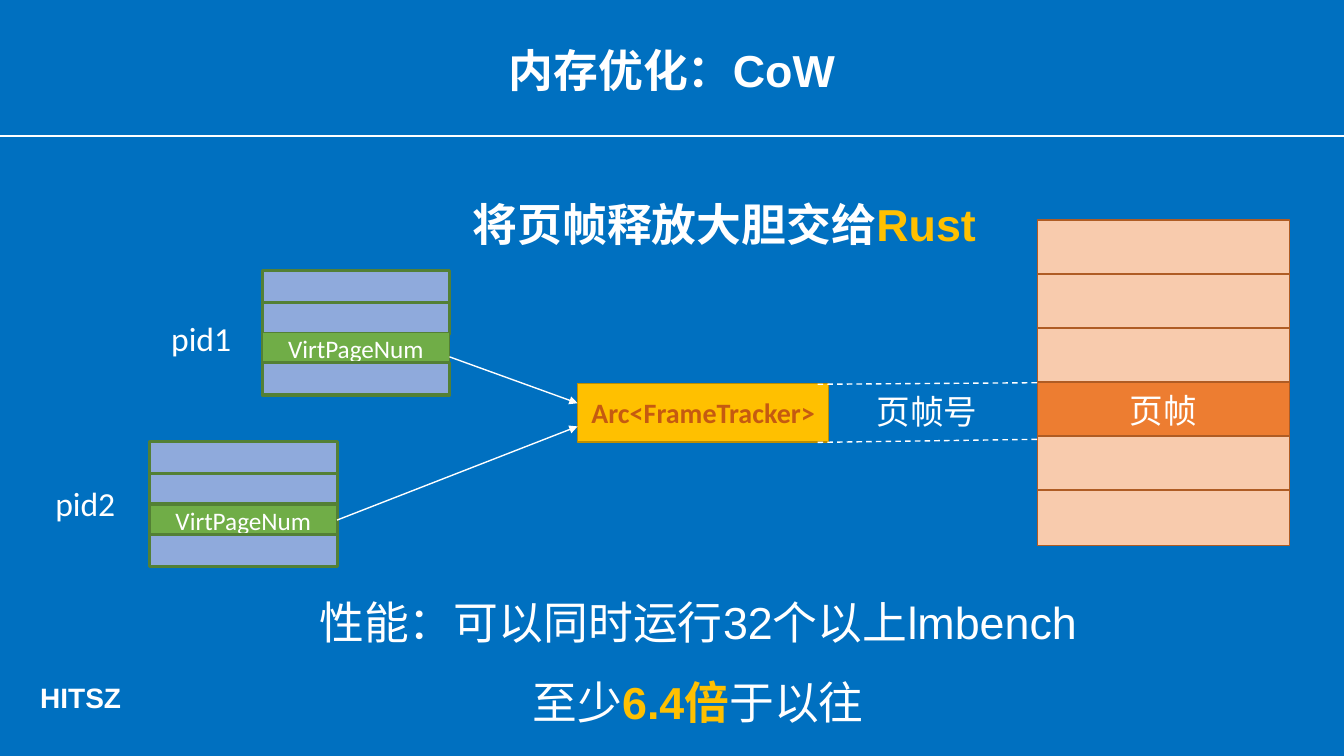
from lxml.etree import SubElement
from pptx import Presentation
from pptx.dml.color import RGBColor
from pptx.enum.dml import MSO_LINE
from pptx.enum.shapes import MSO_CONNECTOR, MSO_SHAPE
from pptx.enum.text import MSO_ANCHOR, MSO_AUTO_SIZE, PP_ALIGN
from pptx.oxml.ns import qn
from pptx.util import Pt

COLORS = {
    "background": "0070C0", "white": "FFFFFF", "gold": "FFC000",
    "gold_line": "BD8E00", "brown": "C55A11", "page": "8FAADC",
    "mapped": "70AD47", "page_line": "538035", "frame": "F8CBAD",
    "shared": "ED7D31", "frame_line": "AF5C24",
}
PAGE_OFFSETS = (0, 23, 44.6, 66.2)
FRAME_PITCH = 38.6


def rgb(name):
    return RGBColor.from_string(COLORS[name])


def set_font(font, size, color="white", bold=False, name="Calibri"):
    font.name, font.size, font.bold = name, Pt(size), bold
    font.color.rgb = rgb(color)


def add_rect(slide, box, fill, line, width=1, text="", size=18,
             color="white", bold=False):
    sp = slide.shapes.add_shape(MSO_SHAPE.RECTANGLE, *map(Pt, box))
    sp.shadow.inherit = False
    sp.fill.solid()
    sp.fill.fore_color.rgb = rgb(fill)
    sp.line.color.rgb = rgb(line)
    sp.line.width = Pt(width)
    if text:
        tf = sp.text_frame
        tf.vertical_anchor = MSO_ANCHOR.MIDDLE
        p = tf.paragraphs[0]
        p.text, p.alignment = text, PP_ALIGN.CENTER
        set_font(p.font, size, color, bold)
    return sp


def add_text(slide, box, paragraphs, size, name="Calibri", bold=False,
             align=PP_ALIGN.LEFT, spacing=1.0):
    """Each paragraph is a list of (text, color, bold) runs or a plain string."""
    tf = slide.shapes.add_textbox(*map(Pt, box)).text_frame
    tf.word_wrap = True
    for i, content in enumerate(paragraphs):
        p = tf.paragraphs[0] if i == 0 else tf.add_paragraph()
        p.alignment, p.line_spacing = align, spacing
        if isinstance(content, str):
            p.text = content
            set_font(p.font, size, bold=bold, name=name)
        else:
            for text, color, run_bold in content:
                r = p.add_run()
                r.text = text
                set_font(r.font, size, color, run_bold, name)


def add_line(slide, start, end, width=1, dashed=False, arrow=False):
    line = slide.shapes.add_connector(
        MSO_CONNECTOR.STRAIGHT, *map(Pt, start + end))
    line.line.color.rgb = rgb("white")
    line.line.width = Pt(width)
    if dashed:
        line.line.dash_style = MSO_LINE.DASH
    if arrow:
        SubElement(line.line._get_or_add_ln(), qn("a:tailEnd"), type="triangle")
    SubElement(line._element.spPr, qn("a:effectLst"))
    return line


def add_page_table(slide, left, top, mapped_width):
    """Stack four virtual pages and return the mapped one."""
    for i, offset in enumerate(PAGE_OFFSETS):
        box = (left, top + offset, 134, 23)
        if i == 2:
            mapped = add_rect(slide, box, "mapped", "page_line", mapped_width,
                              "VirtPageNum")
        else:
            add_rect(slide, box, "page", "page_line", 2.25)
    return mapped


def add_frames(slide):
    for i in range(6):
        shared = i == 3
        add_rect(slide, (741, 157 + i * FRAME_PITCH, 180, 39.6),
                 "shared" if shared else "frame", "frame_line",
                 text="页帧" if shared else "", size=24)


def add_title(slide, text):
    title = slide.shapes.title
    title.left, title.top, title.width, title.height = map(
        Pt, (127.4, 26, 705, 46.8))
    tf = title.text_frame
    tf.auto_size = MSO_AUTO_SIZE.NONE
    tf.vertical_anchor = MSO_ANCHOR.BOTTOM
    p = tf.paragraphs[0]
    p.text, p.alignment, p.line_spacing = text, PP_ALIGN.CENTER, 0.9
    set_font(p.font, 32, bold=True, name="Arial")


def main():
    prs = Presentation()
    prs.slide_width, prs.slide_height = Pt(960), Pt(540)
    slide = prs.slides.add_slide(prs.slide_layouts[5])
    slide.background.fill.solid()
    slide.background.fill.fore_color.rgb = rgb("background")

    # Header and footer
    add_line(slide, (0, 97), (960, 97), 1.5)
    add_title(slide, "内存优化：CoW")
    add_text(slide, (21.6, 482.4, 142.6, 31.7), ["HITSZ"], 20, "Arial", True)

    # Page tables of both processes and the shared tracker
    add_rect(slide, (412.6, 273.8, 179.3, 41.8), "gold", "gold_line", 1,
             "Arc<FrameTracker>", 20, "brown", True)
    add_page_table(slide, 187.2, 193, 1)
    mapped2 = add_page_table(slide, 106.8, 315.4, 2.25)
    add_line(slide, (321.1, 254.9), (412.6, 288), arrow=True)
    link = add_line(slide, (240.8, 371.5), (412.6, 304.6), arrow=True)
    link.begin_connect(mapped2, 3)
    add_text(slide, (115.2, 223.2, 67.7, 36), ["pid1"], 24)
    add_text(slide, (32.4, 341.3, 68.4, 36), ["pid2"], 24)

    # Physical frames
    add_frames(slide)
    add_text(slide, (591.8, 275.8, 141, 36), ["页帧号"], 24,
             align=PP_ALIGN.CENTER)
    add_line(slide, (584, 274.5), (741, 273.4), dashed=True)
    add_line(slide, (584, 316), (741, 313.8), dashed=True)

    # Statements
    add_text(slide, (182.9, 118, 669, 65.5),
             [[("将页帧释放大胆交给", "white", True), ("Rust", "gold", True)]],
             32, "Arial", align=PP_ALIGN.CENTER, spacing=1.5)
    add_text(slide, (164.2, 401.8, 669, 123.8),
             ["性能：可以同时运行32个以上lmbench",
              [("至少", "white", False), ("6.4倍", "gold", True),
               ("于以往", "white", False)]],
             32, "Arial", align=PP_ALIGN.CENTER, spacing=1.5)

    prs.save("out.pptx")


if __name__ == "__main__":
    main()
